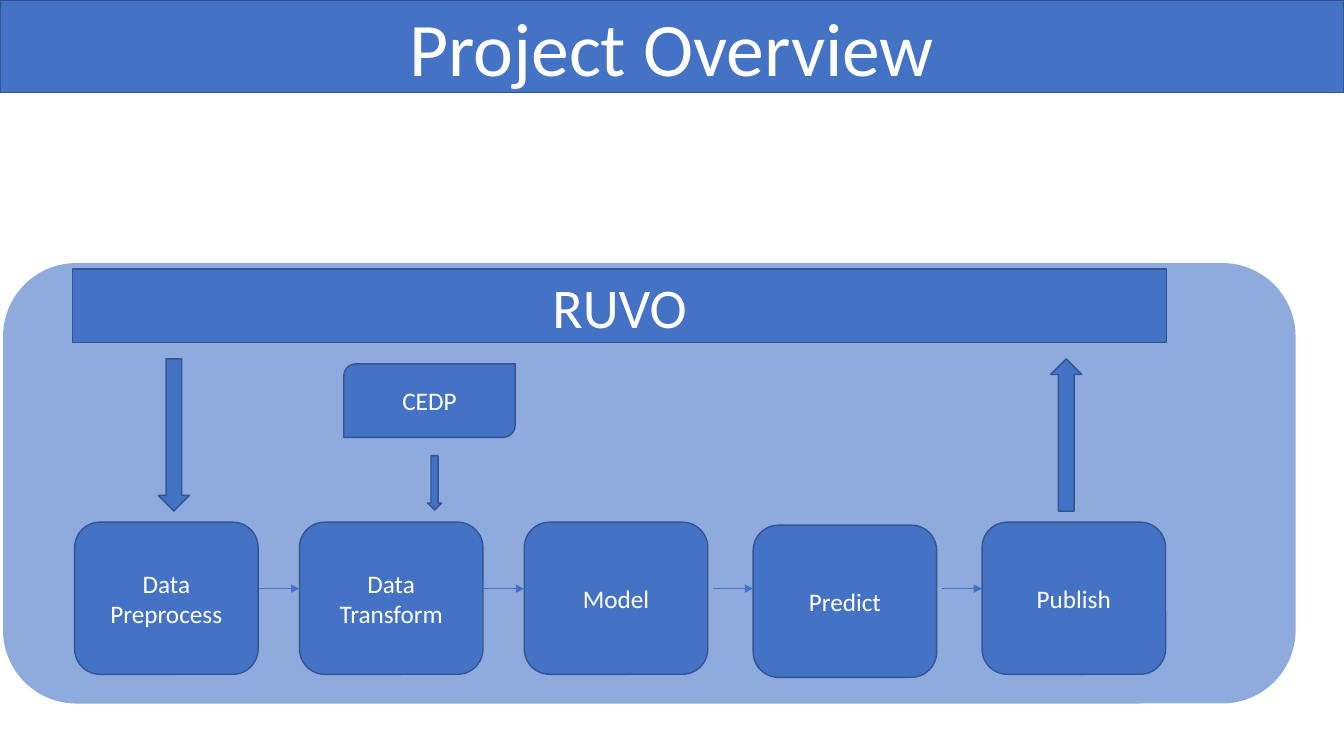
"""Build the Project Overview slide: a five-step data pipeline."""
from lxml import etree
from pptx import Presentation
from pptx.dml.color import RGBColor
from pptx.enum.shapes import MSO_CONNECTOR, MSO_SHAPE
from pptx.enum.text import MSO_ANCHOR, MSO_AUTO_SIZE, PP_ALIGN
from pptx.oxml.ns import qn
from pptx.util import Inches, Pt

RECT = MSO_SHAPE.RECTANGLE
ROUND = MSO_SHAPE.ROUNDED_RECTANGLE
DIAGONAL = MSO_SHAPE.ROUND_2_DIAG_RECTANGLE
DOWN = MSO_SHAPE.DOWN_ARROW
STRAIGHT = MSO_CONNECTOR.STRAIGHT
CENTER = PP_ALIGN.CENTER
MIDDLE = MSO_ANCHOR.MIDDLE
NO_AUTOFIT = MSO_AUTO_SIZE.NONE

COLORS = {"blue": "4472C4", "edge": "325491", "panel": "8FAADC", "text": "FFFFFF"}
RGB = {name: RGBColor.from_string(value) for name, value in COLORS.items()}


def write(sp, text, size=18, color="text", font="Calibri"):
    tf = sp.text_frame
    tf.word_wrap = True
    tf.auto_size = NO_AUTOFIT
    tf.vertical_anchor = MIDDLE
    p = tf.paragraphs[0]
    p.alignment = CENTER
    r = p.add_run()
    r.text = text
    r.font.size = Pt(size)
    r.font.name = font
    r.font.color.rgb = RGB[color]


def paint(sp, fill="blue", edge="edge"):
    sp.fill.solid()
    sp.fill.fore_color.rgb = RGB[fill]
    if edge:
        sp.line.color.rgb = RGB[edge]
        sp.line.width = Pt(1)
    else:
        sp.line.fill.background()
    sp.shadow.inherit = False


prs = Presentation()
prs.slide_width = Inches(13.33)
prs.slide_height = Inches(7.5)
s = prs.slides.add_slide(prs.slide_layouts[5])

title = s.shapes.title
title.left, title.top = Inches(0), Inches(0)
title.width, title.height = Inches(13.33), Inches(0.92)
paint(title)
write(title, "Project Overview", size=54)

panel = s.shapes.add_shape(ROUND, Inches(0.03), Inches(2.61), Inches(12.82), Inches(4.37))
paint(panel, fill="panel", edge=None)

sources = [
    (RECT, "RUVO", 40, 0.72, 2.67, 10.85),
    (DIAGONAL, "CEDP", 18, 3.41, 3.61, 1.7),
]
for kind, text, size, x, y, w in sources:
    sp = s.shapes.add_shape(kind, Inches(x), Inches(y), Inches(w), Inches(0.73))
    paint(sp)
    write(sp, text, size=size)

steps = [
    ("Data Preprocess", 0.74, 5.18),
    ("Data Transform", 2.97, 5.18),
    ("Model", 5.2, 5.18),
    ("Predict", 7.47, 5.21),
    ("Publish", 9.74, 5.18),
]
for text, x, y in steps:
    sp = s.shapes.add_shape(ROUND, Inches(x), Inches(y), Inches(1.82), Inches(1.51))
    paint(sp)
    write(sp, text)

block_arrows = [
    (1.57, 3.56, 0.31, 1.51, 0),
    (10.42, 3.56, 0.31, 1.51, 180),
    (4.24, 4.52, 0.14, 0.54, 0),
]
for x, y, w, h, rotation in block_arrows:
    sp = s.shapes.add_shape(DOWN, Inches(x), Inches(y), Inches(w), Inches(h))
    sp.rotation = rotation
    paint(sp)

for text, x, y in steps[1:]:
    link = s.shapes.add_connector(STRAIGHT, Inches(x - 0.4), Inches(5.84), Inches(x), Inches(5.84))
    link.line.color.rgb = RGB["blue"]
    link.line.width = Pt(0.5)
    etree.SubElement(link.line._get_or_add_ln(), qn("a:tailEnd"), type="triangle")
    etree.SubElement(link._element.spPr, qn("a:effectLst"))

prs.save("out.pptx")
